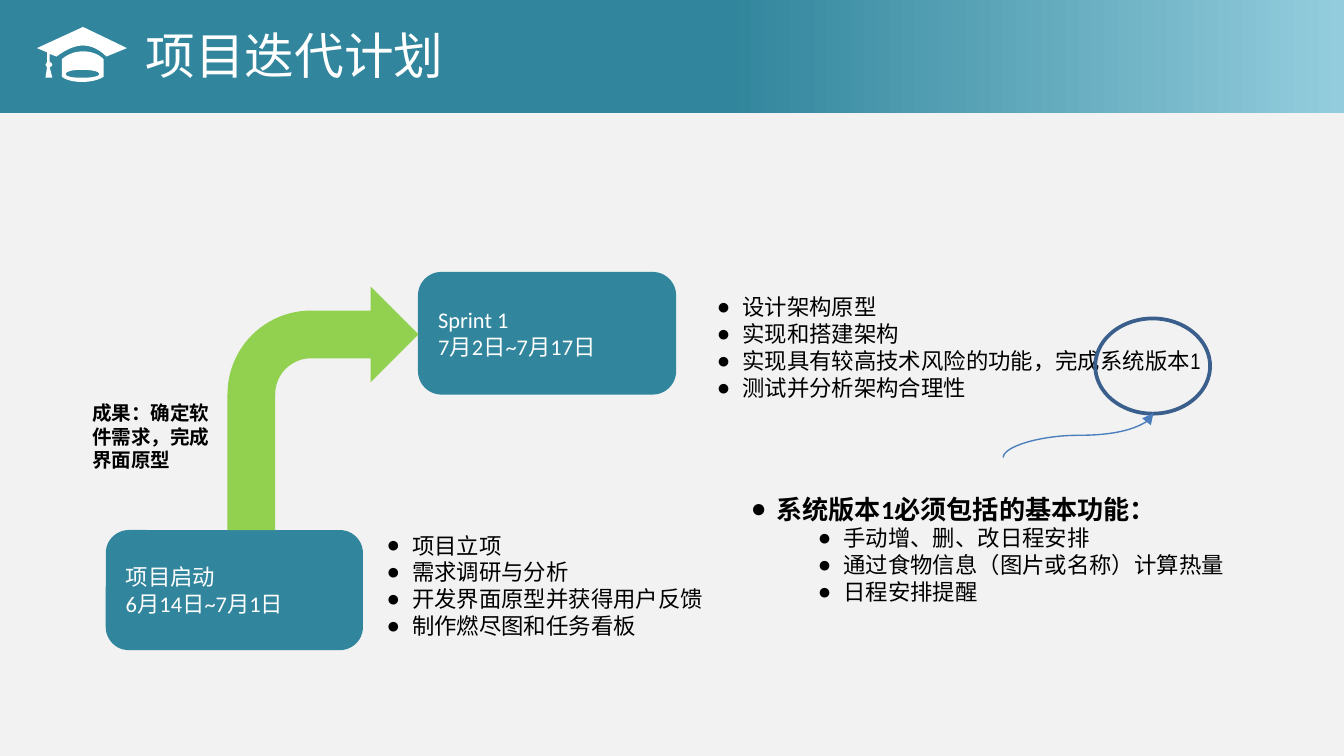
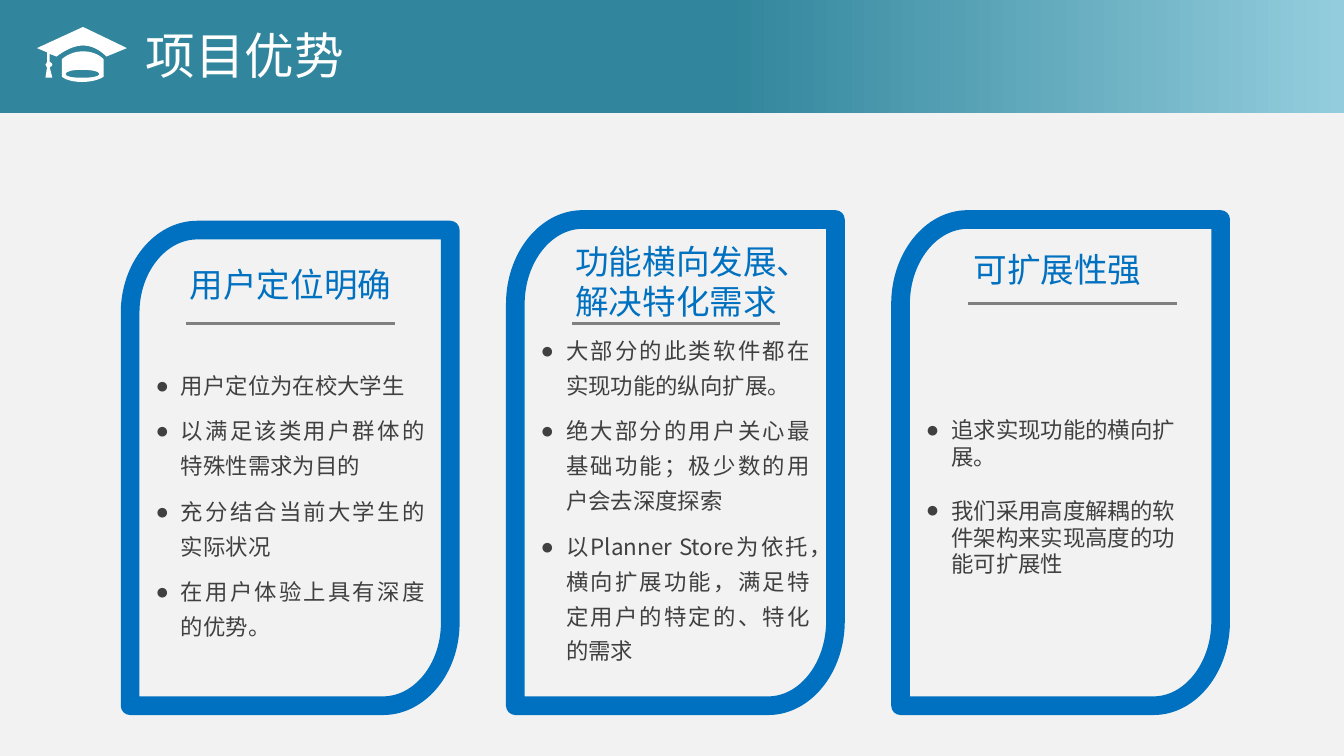
from dataclasses import dataclass

from lxml.etree import SubElement
from pptx import Presentation
from pptx.dml.color import RGBColor
from pptx.enum.shapes import MSO_CONNECTOR as CONN, MSO_SHAPE as SHAPE
from pptx.enum.text import MSO_ANCHOR as ANCHOR, PP_ALIGN as ALIGN
from pptx.oxml.ns import qn
from pptx.util import Cm, Pt


@dataclass(frozen=True)
class Theme:
    page: str = "F2F2F2"
    teal: str = "31859C"
    sky: str = "93CDDD"
    white: str = "FFFFFF"
    black: str = "000000"
    green: str = "92D050"
    ring: str = "3A5F8C"
    curve: str = "4B7EBC"
    blue: str = "0070C0"
    grey: str = "808080"
    ink: str = "404040"
    cjk: str = "Noto Sans CJK SC"
    latin: str = "Calibri"
    narrow: str = "Arial Narrow"
    title: float = 26.6
    heading: float = 18
    lead: float = 14
    body: float = 12
    note: float = 10.5


T = Theme()
SLIDE_W, SLIDE_H = 25.4, 14.29

# Content: positions are (left, top, width, height) in cm
PLAN_TITLE = "项目迭代计划"
STAGES = [
    {"lines": ["项目启动", "6月14日~7月1日"], "at": (2.0, 10.02, 4.86, 2.27),
     "tasks": ["项目立项", "需求调研与分析", "开发界面原型并获得用户反馈", "制作燃尽图和任务看板"],
     "tasks_at": (7.06, 9.92, 6.78, 2.39)},
    {"lines": ["Sprint 1", "7月2日~7月17日"], "at": (7.9, 5.14, 4.88, 2.32),
     "tasks": ["设计架构原型", "实现和搭建架构",
               "实现具有较高技术风险的功能，完成系统版本1", "测试并分析架构合理性"],
     "tasks_at": (13.3, 5.42, 10.01, 2.39)},
]
RESULT = "成果：确定软件需求，完成界面原型"
VERSION_LEAD = "系统版本1必须包括的基本功能："
VERSION_ITEMS = ["手动增、删、改日程安排", "通过食物信息（图片或名称）计算热量", "日程安排提醒"]

STRENGTH_TITLE = "项目优势"
JUSTIFIED = {"align": ALIGN.JUSTIFY, "spacing": 1.3, "before": 5.7}
# head: offset from the card's left, then top, width, height; rule: offset, top
CARDS = [
    {"heading": "用户定位明确", "top": 4.35,
     "head": (1.06, 4.62, 3.94, 1.5), "rule": (1.06, 6.12), "look": JUSTIFIED,
     "points": ["用户定位为在校大学生", "以满足该类用户群体的特殊性需求为目的",
                "充分结合当前大学生的实际状况", "在用户体验上具有深度的优势。"]},
    {"heading": "功能横向发展、解决特化需求", "top": 4.15,
     "head": (1.07, 4.57, 3.94, 1.5), "rule": (1.07, 6.12), "look": JUSTIFIED,
     "points": ["大部分的此类软件都在实现功能的纵向扩展。",
                "绝大部分的用户关心最基础功能；极少数的用户会去深度探索",
                "以Planner Store为依托，横向扩展功能，满足特定用户的特定的、特化的需求"]},
    {"heading": "可扩展性强", "top": 4.15,
     "head": (1.06, 4.63, 3.81, 0.91), "rule": (1.28, 5.74), "look": {"gap": 14.5},
     "points": ["追求实现功能的横向扩展。", "我们采用高度解耦的软件架构来实现高度的功能可扩展性"]},
]
CARD_LEFT, CARD_PITCH, CARD_W, CARD_BOTTOM, RULE_W = 2.46, 7.28, 6.05, 13.34, 3.94

# Graduation cap in 1/100 cm: two numbers make a corner, six a Bezier curve
CAP = [
    [(201, 107), (201, 107, 183, 86, 157, 86), (132, 86, 107, 107, 107, 107),
     (94, 102), (94, 117), (97, 119, 99, 119, 99, 122), (99, 124, 97, 127, 94, 127),
     (99, 147), (86, 147), (89, 127), (89, 127, 86, 124, 86, 122),
     (86, 122, 89, 119, 89, 117), (89, 99), (70, 91), (157, 51), (240, 91)],
    [(157, 97), (183, 97, 196, 112, 196, 112), (196, 145),
     (196, 145, 183, 155, 155, 155), (127, 155, 117, 145, 117, 145), (117, 112),
     (117, 112, 132, 97, 157, 97)],
    [(155, 147), (173, 147, 188, 145, 188, 140), (188, 135, 173, 132, 155, 132),
     (137, 132, 124, 135, 124, 140), (124, 145, 137, 147, 155, 147)],
]


# Helpers
def rgb(color):
    return RGBColor.from_string(color)


def cm(*values):
    return [Cm(v) for v in values]


def paint(sp, fill=None, line=None, width=1):
    sp.shadow.inherit = False
    if fill:
        sp.fill.solid()
        sp.fill.fore_color.rgb = rgb(fill)
    else:
        sp.fill.background()
    if line:
        sp.line.color.rgb = rgb(line)
        sp.line.width = Pt(width)
    else:
        sp.line.fill.background()
    return sp


def add_preset(slide, kind, at, **look):
    return paint(slide.shapes.add_shape(kind, *cm(*at)), **look)


def add_box(slide, at):
    return slide.shapes.add_textbox(*cm(*at))


def add_outline(slide, rings, unit=1, **look):
    """Closed outlines of corners and Bezier curves; unit is in cm."""
    builder = None
    for ring in rings:
        points = [(seg[i] * 1000, seg[i + 1] * 1000)
                  for seg in ring for i in range(0, len(seg), 2)]
        if builder:
            builder.move_to(*points[0])
        else:
            builder = slide.shapes.build_freeform(*points[0], scale=Cm(unit) / 1000)
        builder.add_line_segments(points[1:], close=True)
    sp = builder.convert_to_shape()
    # Join each curve's three points into one Bezier segment
    outline = sp._element.spPr.find(".//" + qn("a:path"))
    corners = iter(outline.findall(qn("a:lnTo")))
    for seg in (seg for ring in rings for seg in ring[1:]):
        parts = [next(corners) for _ in range(len(seg) // 2)]
        if len(parts) == 3:
            bezier = SubElement(outline, qn("a:cubicBezTo"))
            parts[0].addprevious(bezier)
            for part in parts:
                bezier.append(part[0])
                outline.remove(part)
    return paint(sp, **look)


def add_line(slide, kind, ends, color, width):
    line = slide.shapes.add_connector(kind, *cm(*ends))
    line.line.color.rgb = rgb(color)
    line.line.width = Pt(width)
    SubElement(line._element.spPr, qn("a:effectLst"))
    return line


def setup(sp, anchor=ANCHOR.TOP, insets=(0.25, 0.13, 0.25, 0.13)):
    tf = sp.text_frame
    tf.word_wrap = True
    tf.vertical_anchor = anchor
    tf.margin_left, tf.margin_top, tf.margin_right, tf.margin_bottom = cm(*insets)
    return tf


def add_par(tf, text, size=T.body, color=T.black, font=T.latin, bold=False,
            align=ALIGN.LEFT, bullet=None, spacing=None, before=None):
    """Add a paragraph; bullet is the left indent of its text in cm."""
    p = tf.paragraphs[0] if not tf.paragraphs[0].runs else tf.add_paragraph()
    p.alignment = align
    if spacing:
        p.line_spacing = spacing
    if before:
        p.space_before = Pt(before)
    if bullet:
        pPr = p._p.get_or_add_pPr()
        pPr.set("marL", str(Cm(bullet)))
        pPr.set("indent", str(-Cm(0.48)))
        SubElement(pPr, qn("a:buFont")).set("typeface", "Arial")
        SubElement(pPr, qn("a:buChar")).set("char", "●")
    r = p.add_run()
    r.text = text
    r.font.size, r.font.bold, r.font.name = Pt(size), bold, font
    r.font.color.rgb = rgb(color)
    SubElement(r._r.get_or_add_rPr(), qn("a:ea")).set("typeface", T.cjk)


def leaf(x, y, w, h):
    """Box whose top left and bottom right corners are elliptical."""
    rx, ry = 0.21 * w, 0.174 * h
    cx, cy = 0.45 * rx, 0.45 * ry
    r, b = x + w, y + h
    return [(x, y + ry), (x, y + cy, x + cx, y, x + rx, y), (r, y),
            (r, b - ry), (r, b - cy, r - cx, b, r - rx, b), (x, b)]


# Shared frame: page colour on the master; gradient band, title and cap
def fill_page(prs, slide):
    page = add_preset(slide, SHAPE.RECTANGLE, (0, 0, SLIDE_W, SLIDE_H), fill=T.page)
    prs.slide_master.shapes.element.insert(2, page._element)


def new_slide(prs, title):
    slide = prs.slides.add_slide(prs.slide_layouts[6])
    band = add_preset(slide, SHAPE.RECTANGLE, (0, 0, SLIDE_W, 2.13))
    band.fill.gradient()
    band.fill.gradient_angle = 180
    stops = band._element.spPr.find(".//" + qn("a:gsLst"))
    for stop in list(stops):
        stops.remove(stop)
    for pos, color in [(0, T.sky), (46, T.teal), (83, T.teal), (100, T.teal)]:
        stop = SubElement(stops, qn("a:gs"), pos=str(pos * 1000))
        SubElement(stop, qn("a:srgbClr"), val=color)
    tf = setup(add_box(slide, (2.5, 0.35, 10.72, 1.4)))
    add_par(tf, title, T.title, T.white, T.cjk)
    add_outline(slide, CAP, unit=0.01, fill=T.white)
    return slide


def build_plan(prs):
    slide = new_slide(prs, PLAN_TITLE)
    # Stages with their task lists
    for stage in STAGES:
        sp = add_preset(slide, SHAPE.ROUNDED_RECTANGLE, stage["at"], fill=T.teal)
        sp.adjustments[0] = 0.192
        tf = setup(sp, ANCHOR.MIDDLE)
        for line in stage["lines"]:
            add_par(tf, line, color=T.white)
        tf = setup(add_box(slide, stage["tasks_at"]))
        for task in stage["tasks"]:
            add_par(tf, task, font=T.narrow, bullet=0.48)
    # Step from the first stage to the next
    add_preset(slide, SHAPE.BENT_ARROW, (4.3, 5.42, 3.61, 4.6), fill=T.green)
    add_par(setup(add_box(slide, (1.5, 7.45, 2.95, 1.6))), RESULT, T.note, bold=True)
    # Contents of version 1
    tf = setup(add_box(slide, (13.94, 8.65, 10.01, 3.96)), ANCHOR.MIDDLE,
               (0.25, 0.13, 0.25, 0.63))
    add_par(tf, VERSION_LEAD, T.lead, bold=True, bullet=0.48)
    for item in VERSION_ITEMS:
        add_par(tf, item, bullet=1.75)
        tf.paragraphs[-1].level = 1
    # Ring around the version, with a curved arrow turned upright
    add_preset(slide, SHAPE.OVAL, (20.7, 6.02, 2.17, 1.8), line=T.ring, width=2)
    curve = add_line(slide, CONN.CURVE, (20.8, 9.65, 19.96, 6.81), T.curve, 0.75)
    curve._element.spPr.find(qn("a:xfrm")).set("rot", str(90 * 60000))
    SubElement(curve.line._get_or_add_ln(), qn("a:tailEnd"), type="triangle")
    return slide


def build_strengths(prs):
    slide = new_slide(prs, STRENGTH_TITLE)
    for i, card in enumerate(CARDS):
        x, top = CARD_LEFT + i * CARD_PITCH, card["top"]
        # Card outline with its points
        sp = add_outline(slide, [leaf(x, top, CARD_W, CARD_BOTTOM - top)],
                         line=T.blue, width=10)
        SubElement(sp.line._get_or_add_ln(), qn("a:round"))
        tf = setup(sp, ANCHOR.MIDDLE, (0.48, 1.42, 0.48, 0.13))
        look = dict(card["look"])
        gap = look.pop("gap", None)
        for n, point in enumerate(card["points"]):
            if gap and n:
                look["before"] = gap
            add_par(tf, point, color=T.ink, font=T.cjk, bullet=0.48, **look)
        # Heading over a rule
        dx, y = card["rule"]
        add_line(slide, CONN.STRAIGHT, (x + dx, y, x + dx + RULE_W, y), T.grey, 1.5)
        dx, *rest = card["head"]
        tf = setup(add_box(slide, (x + dx, *rest)), ANCHOR.MIDDLE, (0, 0.13, 0, 0.13))
        add_par(tf, card["heading"], T.heading, T.blue, T.cjk, align=ALIGN.CENTER)


def main():
    prs = Presentation()
    prs.slide_width, prs.slide_height = cm(SLIDE_W, SLIDE_H)
    fill_page(prs, build_plan(prs))
    build_strengths(prs)
    prs.save("out.pptx")


if __name__ == "__main__":
    main()
